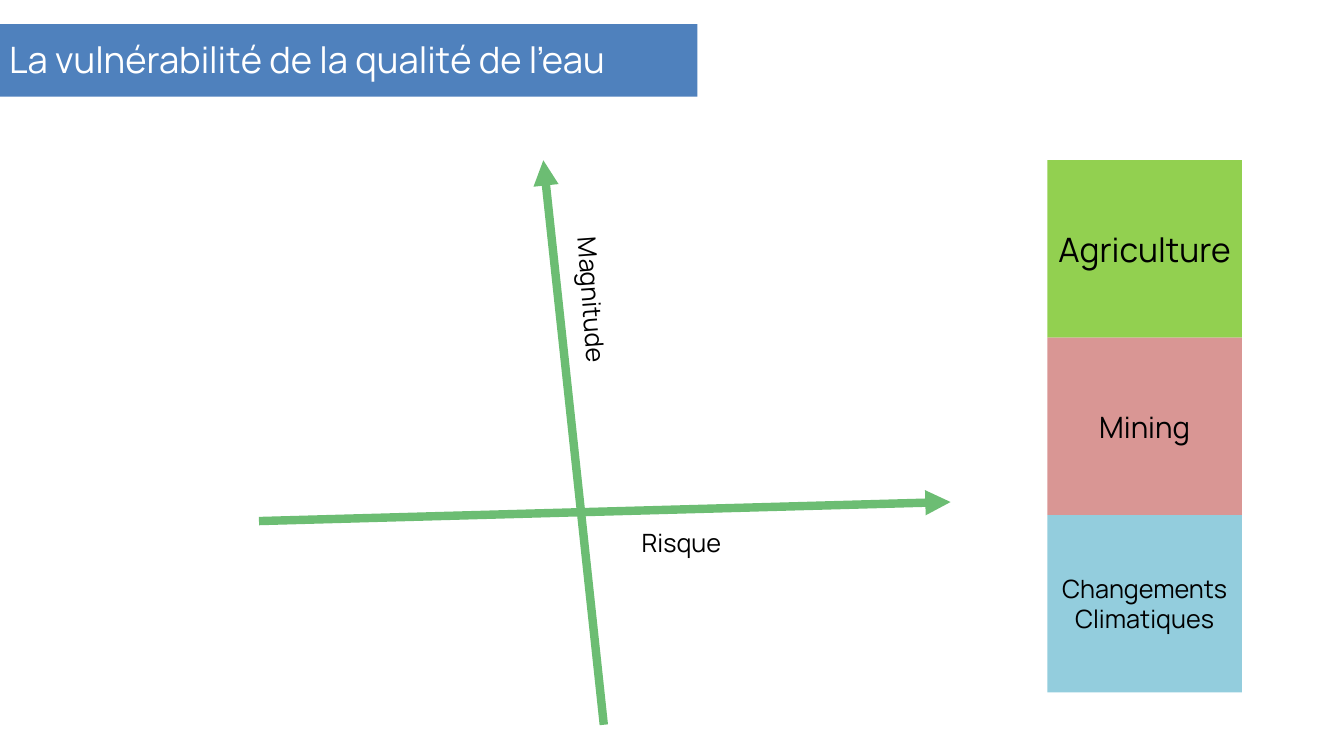
from lxml import etree
from pptx import Presentation
from pptx.dml.color import RGBColor
from pptx.enum import shapes, text
from pptx.oxml import ns
from pptx.util import Pt

WHITE = RGBColor(0xFF, 0xFF, 0xFF)
BLACK = RGBColor(0x00, 0x00, 0x00)
BLUE = RGBColor(0x4F, 0x81, 0xBD)
AXIS_GREEN = RGBColor(0x6C, 0xBD, 0x73)
LIME = RGBColor(0x92, 0xD0, 0x50)
ROSE = RGBColor(0xD9, 0x96, 0x94)
AQUA = RGBColor(0x93, 0xCD, 0xDD)
FONT = "Manrope"


def write(frame, words, size, color, alignment):
    frame.word_wrap = True
    para = frame.paragraphs[0]
    para.alignment = alignment
    span = para.add_run()
    span.text = words
    span.font.name = FONT
    span.font.size = Pt(size)
    span.font.color.rgb = color


def add_box(page, left, top, width, height, fill, words="", size=18):
    box = page.shapes.add_shape(
        shapes.MSO_SHAPE.RECTANGLE, Pt(left), Pt(top), Pt(width), Pt(height)
    )
    box.shadow.inherit = False
    box.fill.solid()
    box.fill.fore_color.rgb = fill
    box.line.fill.background()
    if words:
        box.text_frame.vertical_anchor = text.MSO_ANCHOR.MIDDLE
        write(box.text_frame, words, size, BLACK, text.PP_ALIGN.CENTER)
    return box


deck = Presentation()
deck.slide_width = Pt(960)
deck.slide_height = Pt(540)
page = deck.slides.add_slide(deck.slide_layouts[5])

axes = [(431.3, 517.7, 388.1, 114.5), (185, 372.2, 679, 358.6)]
for ends in axes:
    axis = page.shapes.add_connector(
        shapes.MSO_CONNECTOR.STRAIGHT, *[Pt(value) for value in ends]
    )
    axis.line.color.rgb = AXIS_GREEN
    axis.line.width = Pt(6)
    etree.SubElement(axis.line._get_or_add_ln(), ns.qn("a:tailEnd"), type="triangle")
    etree.SubElement(axis.element.spPr, ns.qn("a:effectLst"))

add_box(page, 426.2, 372.2, 121, 30.2, WHITE, "Risque")
magnitude = add_box(page, 347, 198.7, 151.9, 31, WHITE, "Magnitude")
magnitude.rotation = 85.8

banner = add_box(page, 0, 17.3, 498.2, 51.8, BLUE)
title = page.shapes.title
banner.element.addnext(title.element)
title.left, title.top = Pt(-0.7), Pt(23)
title.width, title.height = Pt(513.4), Pt(38.9)
title.text_frame.vertical_anchor = text.MSO_ANCHOR.TOP
title.text_frame.auto_size = text.MSO_AUTO_SIZE.NONE
write(
    title.text_frame,
    "La vulnérabilité de la qualité de l’eau",
    26,
    WHITE,
    text.PP_ALIGN.LEFT,
)

pressures = [
    ("Agriculture", 24, LIME),
    ("Mining", 21, ROSE),
    ("Changements Climatiques", 18, AQUA),
]
block_height = 126.7
for row, (name, size, color) in enumerate(pressures):
    top = 114.5 + row * block_height
    add_box(page, 748.1, top, 139, block_height, color, name, size)

deck.save("out.pptx")
